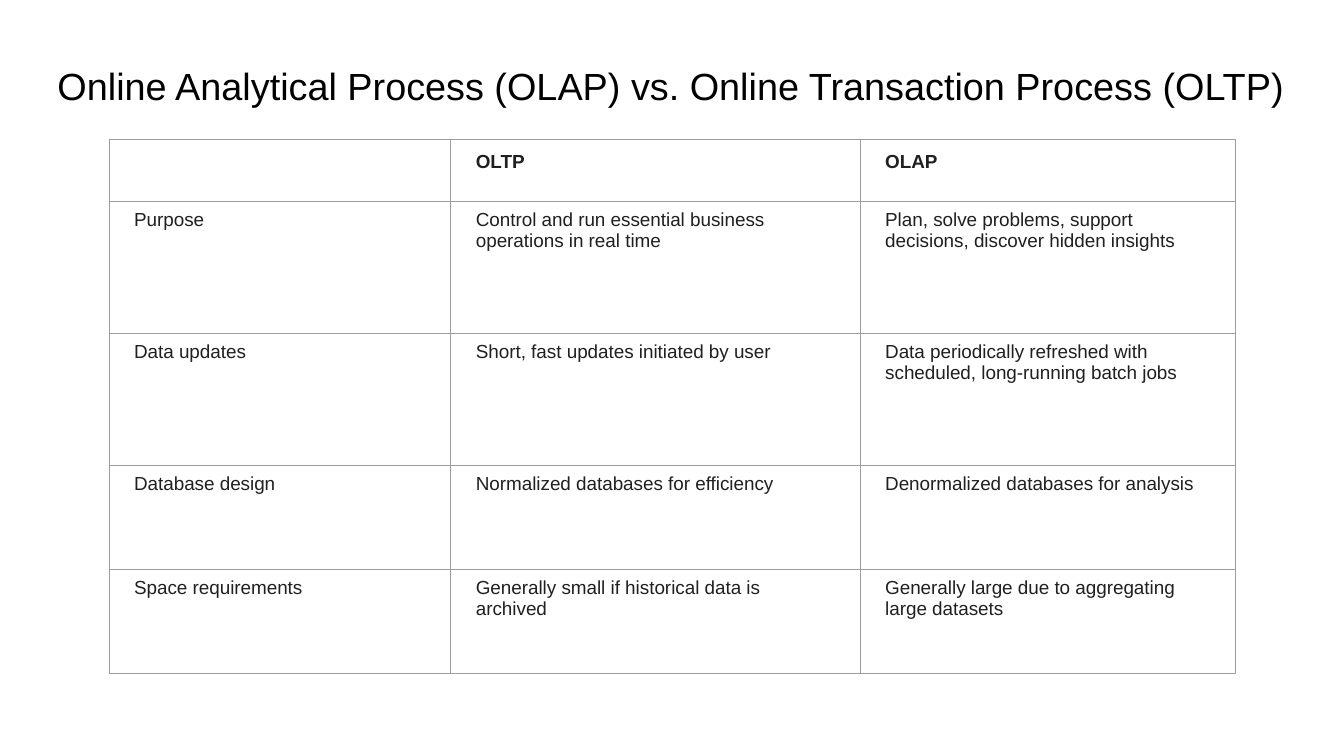
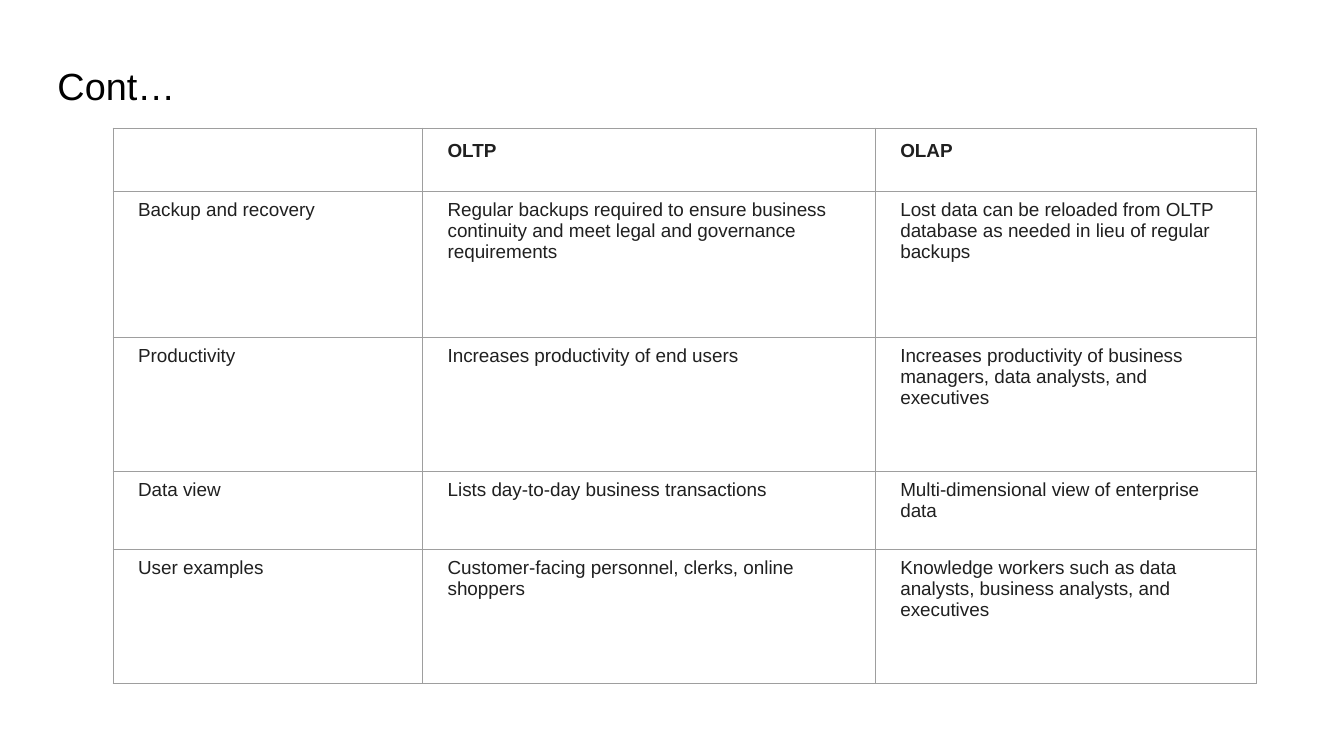
import dataclasses

import lxml.etree
import pptx
import pptx.dml.color
import pptx.enum.text
import pptx.oxml.ns
import pptx.util

Inches = pptx.util.Inches
Pt = pptx.util.Pt
RGBColor = pptx.dml.color.RGBColor


@dataclasses.dataclass(frozen=True)
class Theme:
    font: str = "Arial"
    title_size: float = 27
    cell_size: float = 13.5
    border_width: float = 0.6
    title_color: str = "000000"
    cell_color: str = "202020"
    cell_fill: str = "FFFFFF"
    border_color: str = "9E9E9E"


THEME = Theme()
HEADER = ("", "OLTP", "OLAP")

COMPARISONS = [
    {
        "title": "Online Analytical Process (OLAP) vs. Online Transaction Process (OLTP)",
        "corner": (1.08, 1.38),
        "columns": (3.39, 4.06, 3.72),
        "rows": (0.62, 1.31, 1.31, 1.03, 1.03),
        "texts": [
            ("Purpose",
             "Control and run essential business operations in real time",
             "Plan, solve problems, support decisions, discover hidden insights"),
            ("Data updates",
             "Short, fast updates initiated by user",
             "Data periodically refreshed with scheduled, long-running batch jobs"),
            ("Database design",
             "Normalized databases for efficiency",
             "Denormalized databases for analysis"),
            ("Space requirements",
             "Generally small if historical data is archived",
             "Generally large due to aggregating large datasets"),
        ],
    },
    {
        "title": "Cont…",
        "corner": (1.12, 1.27),
        "columns": (3.07, 4.49, 3.78),
        "rows": (0.63, 1.45, 1.33, 0.77, 1.33),
        "texts": [
            ("Backup and recovery",
             "Regular backups required to ensure business continuity and meet legal "
             "and governance requirements",
             "Lost data can be reloaded from OLTP database as needed in lieu of regular backups"),
            ("Productivity",
             "Increases productivity of end users",
             "Increases productivity of business managers, data analysts, and executives"),
            ("Data view",
             "Lists day-to-day business transactions",
             "Multi-dimensional view of enterprise data"),
            ("User examples",
             "Customer-facing personnel, clerks, online shoppers",
             "Knowledge workers such as data analysts, business analysts, and executives"),
        ],
    },
]


def style_text(paragraph, size, color, bold=False):
    paragraph.alignment = pptx.enum.text.PP_ALIGN.LEFT
    paragraph.font.name = THEME.font
    paragraph.font.size = Pt(size)
    paragraph.font.bold = bold
    paragraph.font.color.rgb = RGBColor.from_string(color)


def style_cell(cell, is_header):
    """Set the insets, fill and four borders of a table cell."""
    cell.margin_left = cell.margin_right = Inches(0.25)
    cell.margin_top = Inches(0.12 if is_header else 0.08)
    cell.margin_bottom = Inches(0.08)
    cell.fill.solid()
    cell.fill.fore_color.rgb = RGBColor.from_string(THEME.cell_fill)
    properties = cell._tc.get_or_add_tcPr()
    qn = pptx.oxml.ns.qn
    # The schema wants the borders before the fill.
    for position, side in enumerate(("a:lnL", "a:lnR", "a:lnT", "a:lnB")):
        border = lxml.etree.Element(qn(side), w=str(Pt(THEME.border_width)))
        fill = lxml.etree.SubElement(border, qn("a:solidFill"))
        lxml.etree.SubElement(fill, qn("a:srgbClr"), val=THEME.border_color)
        properties.insert(position, border)


deck = pptx.Presentation()
deck.slide_width = Inches(13.33)
deck.slide_height = Inches(7.5)
title_only = deck.slide_layouts[5]

for comparison in COMPARISONS:
    page = deck.slides.add_slide(title_only)

    title = page.shapes.title
    title.left, title.top = Inches(0.47), Inches(0.57)
    title.width, title.height = Inches(12.4), Inches(0.56)
    title.text_frame.text = comparison["title"]
    title.text_frame.auto_size = pptx.enum.text.MSO_AUTO_SIZE.SHAPE_TO_FIT_TEXT
    title.text_frame.vertical_anchor = pptx.enum.text.MSO_ANCHOR.MIDDLE
    style_text(title.text_frame.paragraphs[0], THEME.title_size, THEME.title_color)

    left, top = comparison["corner"]
    widths, heights = comparison["columns"], comparison["rows"]
    table = page.shapes.add_table(
        len(heights), len(widths), Inches(left), Inches(top),
        Inches(sum(widths)), Inches(sum(heights)),
    ).table
    table.first_row = False
    table.horz_banding = False
    for column, width in zip(table.columns, widths):
        column.width = Inches(width)
    for row, height in zip(table.rows, heights):
        row.height = Inches(height)

    for row_index, texts in enumerate([HEADER, *comparison["texts"]]):
        is_header = row_index == 0
        for column_index, text in enumerate(texts):
            cell = table.cell(row_index, column_index)
            style_cell(cell, is_header)
            cell.text = text
            style_text(cell.text_frame.paragraphs[0], THEME.cell_size,
                       THEME.cell_color, bold=is_header)

deck.save("out.pptx")
